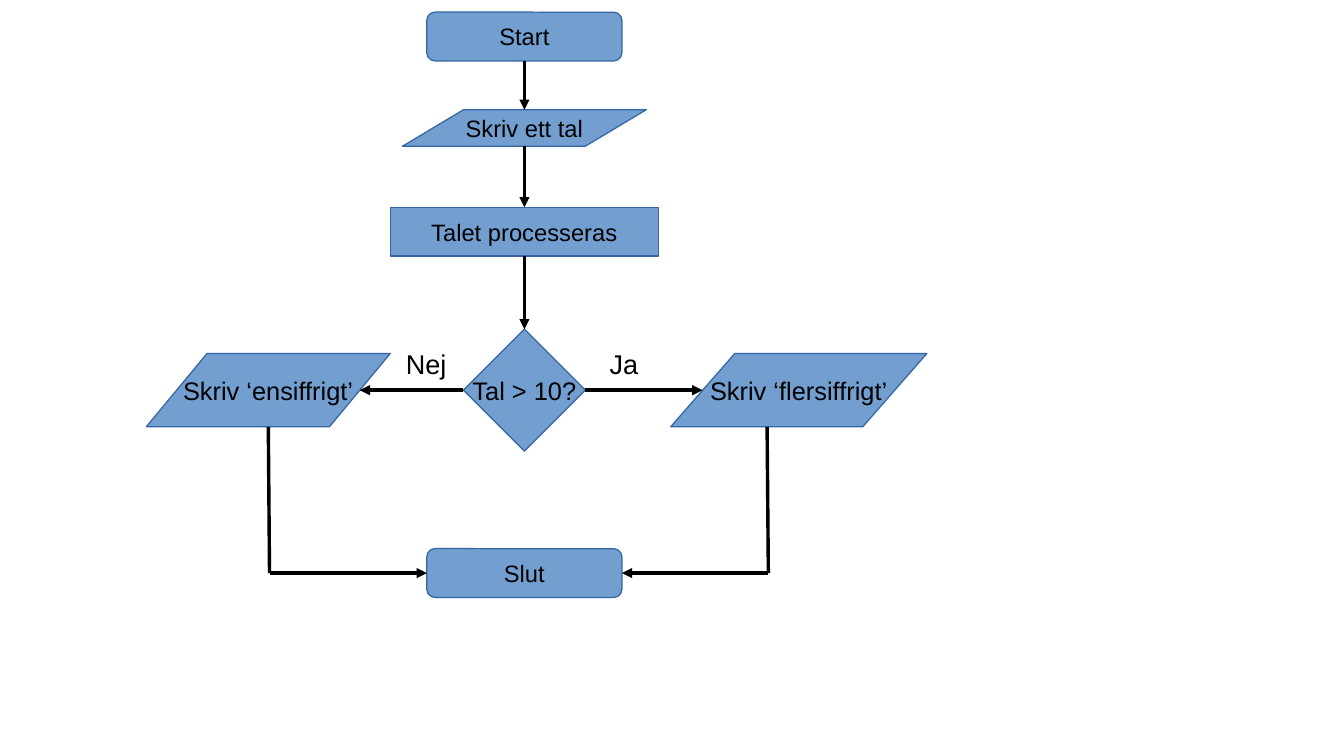
from lxml.etree import SubElement
from pptx import Presentation
from pptx.dml.color import RGBColor
from pptx.enum.shapes import MSO_CONNECTOR as Connector, MSO_SHAPE as Shape
from pptx.enum.text import MSO_ANCHOR as Anchor, PP_ALIGN as Align
from pptx.oxml.ns import qn
from pptx.util import Inches, Pt


def color(hex_code):
    return RGBColor.from_string(hex_code)


def write(frame, text, size, align):
    para = frame.paragraphs[0]
    para.alignment = align
    span = para.add_run()
    span.text = text
    span.font.name = "Arial"
    span.font.size = Pt(size)
    span.font.color.rgb = color("000000")


deck = Presentation()
deck.slide_width = Inches(11.02)
deck.slide_height = Inches(6.2)
page = deck.slides.add_slide(deck.slide_layouts[6])

# Flow steps: shape, left, top, width, height, adjustment, text, size
steps = [
    (Shape.ROUNDED_RECTANGLE, 3.5, 0.1, 1.6, 0.4, 0.167, "Start", 14),
    (Shape.PARALLELOGRAM, 3.3, 0.9, 2, 0.3, 1.67, "Skriv ett tal", 14),
    (Shape.RECTANGLE, 3.2, 1.7, 2.2, 0.4, None, "Talet processeras", 14),
    (Shape.DIAMOND, 3.8, 2.7, 1, 1, None, "Tal > 10?", 15),
    (Shape.PARALLELOGRAM, 5.5, 2.9, 2.1, 0.6, 0.875, "Skriv ‘flersiffrigt’", 15),
    (Shape.PARALLELOGRAM, 1.2, 2.9, 2, 0.6, 0.83, "Skriv ‘ensiffrigt’", 15),
    (Shape.ROUNDED_RECTANGLE, 3.5, 4.5, 1.6, 0.4, 0.167, "Slut", 14),
]
for kind, left, top, width, height, adjustment, text, size in steps:
    box = page.shapes.add_shape(
        kind, Inches(left), Inches(top), Inches(width), Inches(height))
    if adjustment is not None:
        box.adjustments[0] = adjustment
    box.shadow.inherit = False
    box.fill.solid()
    box.fill.fore_color.rgb = color("729FCF")
    box.line.color.rgb = color("3465A4")
    box.line.width = 0
    box.text_frame.word_wrap = False
    box.text_frame.vertical_anchor = Anchor.MIDDLE
    write(box.text_frame, text, size, Align.CENTER)

# Branch labels
for text, left, width in [("Nej", 3.23, 0.6), ("Ja", 4.9, 0.5)]:
    label = page.shapes.add_textbox(
        Inches(left), Inches(2.8), Inches(width), Inches(0.35))
    label.text_frame.word_wrap = True
    write(label.text_frame, text, 16, Align.LEFT)

# Flow lines: start x and y, end x and y, arrowhead at the end
flows = [
    (4.3, 0.5, 4.3, 0.9, True),
    (4.3, 1.2, 4.3, 1.7, True),
    (4.3, 2.1, 4.3, 2.7, True),
    (4.8, 3.2, 5.76, 3.2, True),
    (3.8, 3.2, 2.95, 3.2, True),
    (6.29, 3.5, 6.3, 4.7, False),
    (2.2, 3.5, 2.21, 4.7, False),
    (2.21, 4.7, 3.5, 4.7, True),
    (6.3, 4.7, 5.1, 4.7, True),
]
for *ends, has_arrow in flows:
    flow = page.shapes.add_connector(
        Connector.STRAIGHT, *[Inches(value) for value in ends])
    flow.line.color.rgb = color("000000")
    flow.line.width = 0
    if has_arrow:
        SubElement(flow.line._get_or_add_ln(), qn("a:tailEnd"), type="triangle")
    SubElement(flow._element.spPr, qn("a:effectLst"))

deck.save("out.pptx")
